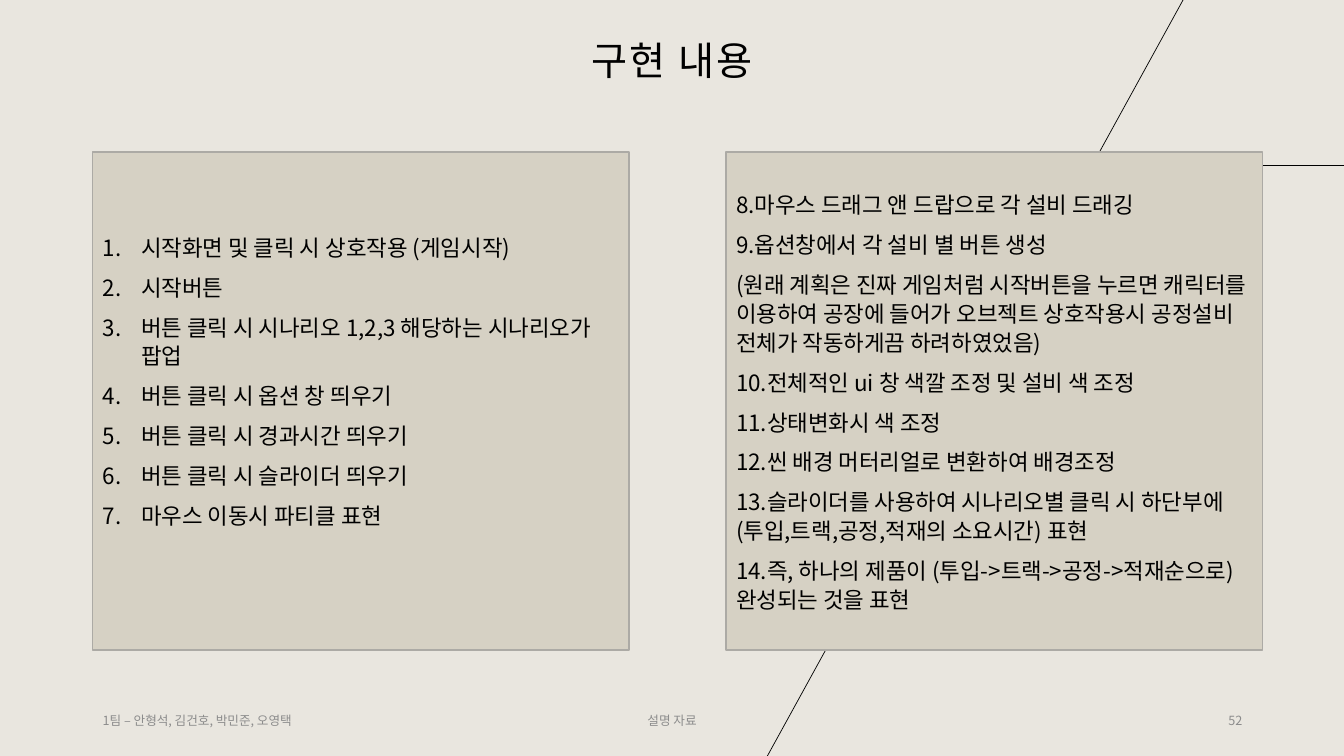
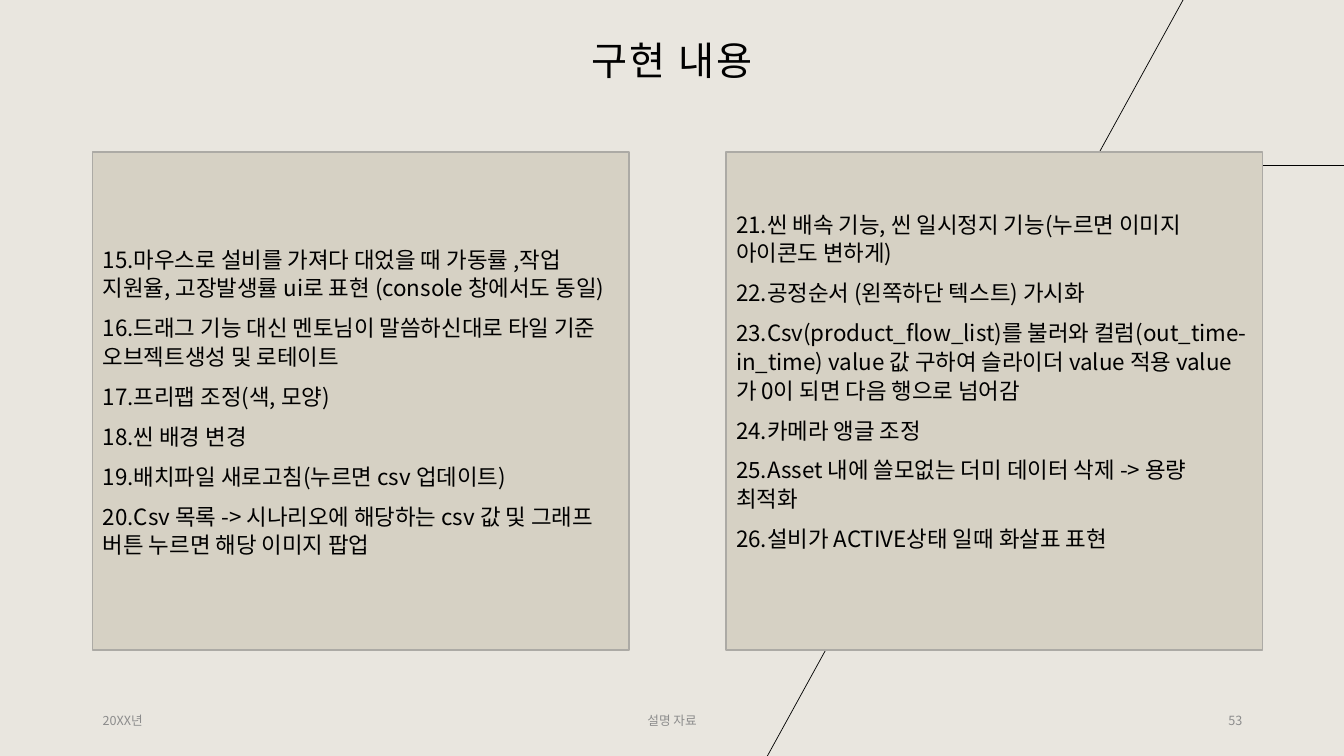
import pptx
import pptx.dml.color
import pptx.enum.shapes
import pptx.enum.text
import pptx.oxml
import pptx.oxml.ns
import pptx.util
from pptx.dml.color import RGBColor
from pptx.enum.text import MSO_ANCHOR, PP_ALIGN
from pptx.util import Inches, Pt

FONT = "Noto Sans CJK KR"
BACKGROUND = RGBColor(0xE9, 0xE6, 0xDF)
PANEL = RGBColor(0xD6, 0xD1, 0xC4)
PANEL_BORDER = RGBColor(0xAC, 0xAA, 0xA5)
BLACK = RGBColor(0, 0, 0)
GRAY = RGBColor(0x8C, 0x8C, 0x8C)

TITLE = "구현 내용"
FOOTER = "설명 자료"
FIRST_NUMBER = 52
MARGIN = 0.92
RAISED_INSET = 0.46
PLAIN_INSET = 0.05

SLIDES = [
    {
        "label": "1팀 – 안형석, 김건호, 박민준, 오영택",
        "panels": [
            (True, RAISED_INSET, [
                "시작화면 및 클릭 시 상호작용 (게임시작)",
                "시작버튼",
                "버튼 클릭 시 시나리오 1,2,3 해당하는 시나리오가 팝업",
                "버튼 클릭 시 옵션 창 띄우기",
                "버튼 클릭 시 경과시간 띄우기",
                "버튼 클릭 시 슬라이더 띄우기",
                "마우스 이동시 파티클 표현",
            ]),
            (False, PLAIN_INSET, [
                "8.마우스 드래그 앤 드랍으로 각 설비 드래깅",
                "9.옵션창에서 각 설비 별 버튼 생성",
                "(원래 계획은 진짜 게임처럼 시작버튼을 누르면 캐릭터를 이용하여 공장에 들어가 오브젝트 상호작용시 공정설비 전체가 작동하게끔 하려하였었음)",
                "10.전체적인 ui 창 색깔 조정 및 설비 색 조정",
                "11.상태변화시 색 조정",
                "12.씬 배경 머터리얼로 변환하여 배경조정",
                "13.슬라이더를 사용하여 시나리오별 클릭 시 하단부에(투입,트랙,공정,적재의 소요시간) 표현",
                "14.즉, 하나의 제품이 (투입->트랙->공정->적재순으로) 완성되는 것을 표현",
            ]),
        ],
    },
    {
        "label": "20XX년",
        "panels": [
            (False, PLAIN_INSET, [
                "15.마우스로 설비를 가져다 대었을 때 가동률 ,작업 지원율, 고장발생률 ui로 표현 (console 창에서도 동일)",
                "16.드래그 기능 대신 멘토님이 말씀하신대로 타일 기준 오브젝트생성 및 로테이트",
                "17.프리팹 조정(색, 모양)",
                "18.씬 배경 변경",
                "19.배치파일 새로고침(누르면 csv 업데이트)",
                "20.Csv 목록 -> 시나리오에 해당하는 csv 값 및 그래프 버튼 누르면 해당 이미지 팝업",
            ]),
            (False, RAISED_INSET, [
                "21.씬 배속 기능, 씬 일시정지 기능(누르면 이미지 아이콘도 변하게)",
                "22.공정순서 (왼쪽하단 텍스트) 가시화",
                "23.Csv(product_flow_list)를 불러와 컬럼(out_time-in_time) value 값 구하여 슬라이더 value 적용 value가 0이 되면 다음 행으로 넘어감",
                "24.카메라 앵글 조정",
                "25.Asset 내에 쓸모없는 더미 데이터 삭제 -> 용량 최적화",
                "26.설비가 ACTIVE상태 일때 화살표 표현",
            ]),
        ],
    },
]


def place(shape, left, top, width, height):
    shape.left, shape.top = Inches(left), Inches(top)
    shape.width, shape.height = Inches(width), Inches(height)


def format_text(shape, size, color, alignment, anchor, line_spacing, space_after):
    text_frame = shape.text_frame
    text_frame.word_wrap = True
    text_frame.auto_size = pptx.enum.text.MSO_AUTO_SIZE.NONE
    text_frame.vertical_anchor = anchor
    for paragraph in text_frame.paragraphs:
        paragraph.alignment = alignment
        paragraph.line_spacing = line_spacing
        paragraph.space_before = Pt(0)
        paragraph.space_after = Pt(space_after)
        for run in paragraph.runs:
            run.font.name = FONT
            run.font.size = Pt(size)
            run.font.color.rgb = color
            east_asian = pptx.oxml.parse_xml(
                f'<a:ea {pptx.oxml.ns.nsdecls("a")} typeface="{FONT}"/>')
            run.font._element.find(pptx.oxml.ns.qn("a:latin")).addnext(east_asian)


presentation = pptx.Presentation()
presentation.slide_width = Inches(13.33)
presentation.slide_height = Inches(7.5)

layout = presentation.slide_layouts[3]
layout.background.fill.solid()
layout.background.fill.fore_color.rgb = BACKGROUND
for placeholder in list(layout.placeholders):
    if placeholder.placeholder_format.idx >= 10:
        layout.shapes.element.remove(placeholder.element)
title, left_panel, right_panel = layout.placeholders
place(title, MARGIN, 0, 11.5, 0.88)
place(left_panel, MARGIN, 1.51, 5.32, 4.94)
place(right_panel, 7.2, 1.51, 5.32, 4.94)

slides = [presentation.slides.add_slide(layout) for content in SLIDES]

for ends in [(9.95, 1.64, 13.33, 1.64), (11.75, -0.03, 7.6, 7.52)]:
    line = slides[0].shapes.add_connector(
        pptx.enum.shapes.MSO_CONNECTOR.STRAIGHT, *[Inches(end) for end in ends])
    line.line.color.rgb = BLACK
    line.line.width = Pt(0.5)
    line.element.spPr.append(
        pptx.oxml.parse_xml(f'<a:effectLst {pptx.oxml.ns.nsdecls("a")}/>'))
    layout.shapes.element.append(line.element)

for number, (slide, content) in enumerate(zip(slides, SLIDES), FIRST_NUMBER):
    title, *panels = slide.placeholders
    title.text_frame.text = TITLE
    format_text(title, 28, BLACK, PP_ALIGN.CENTER, MSO_ANCHOR.BOTTOM, 0.9, 0)
    for run in title.text_frame.paragraphs[0].runs:
        run.font._element.set("spc", "150")

    for panel, (numbered, bottom_inset, items) in zip(panels, content["panels"]):
        panel.fill.solid()
        panel.fill.fore_color.rgb = PANEL
        panel.line.color.rgb = PANEL_BORDER
        panel.line.width = Pt(1)
        panel.text_frame.text = "\n".join(items)
        panel.text_frame.margin_bottom = Inches(bottom_inset)
        bullet = 'buAutoNum type="arabicPeriod"' if numbered else "buNone"
        indent = Inches(0.38) if numbered else 0
        for paragraph in panel.text_frame.paragraphs:
            properties = paragraph._p.get_or_add_pPr()
            properties.set("marL", str(indent))
            properties.set("indent", str(-indent))
            tag, *attributes = bullet.split()
            properties.append(pptx.oxml.parse_xml(
                f'<a:{tag} {pptx.oxml.ns.nsdecls("a")} {" ".join(attributes)}/>'))
        format_text(panel, 16, BLACK, PP_ALIGN.LEFT, MSO_ANCHOR.MIDDLE, 1.07, 8)

    for text, left, width, alignment in [
        (content["label"], MARGIN, 3, PP_ALIGN.LEFT),
        (FOOTER, 5.71, 1.91, PP_ALIGN.CENTER),
        (str(number), 9.42, 3, PP_ALIGN.RIGHT),
    ]:
        footer = slide.shapes.add_textbox(
            Inches(left), Inches(6.95), Inches(width), Inches(0.4))
        footer.text_frame.text = text
        format_text(footer, 9, GRAY, alignment, MSO_ANCHOR.MIDDLE, 1.0, 0)

presentation.save("out.pptx")
